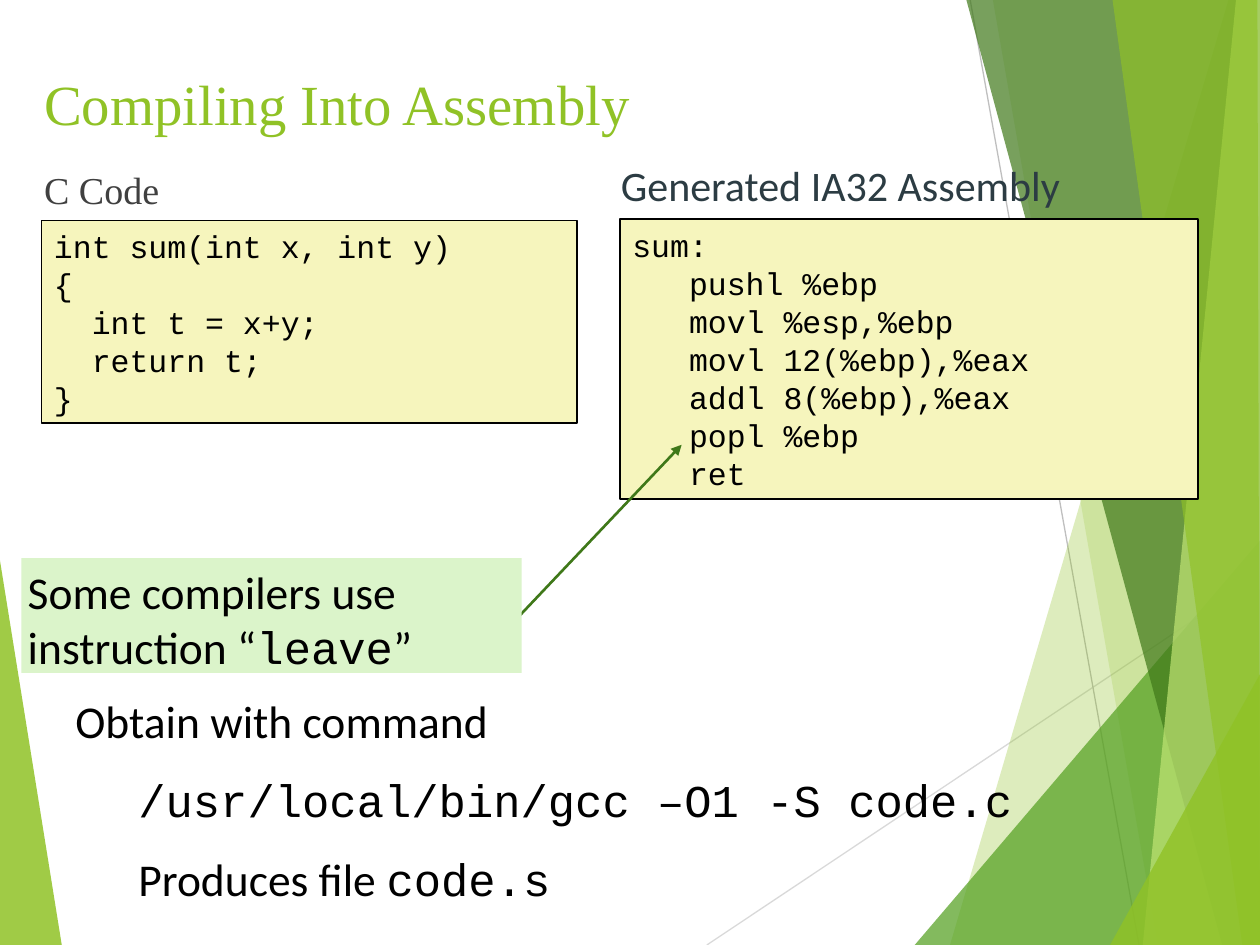
from pptx import Presentation
from pptx.dml.color import RGBColor
from pptx.enum.shapes import MSO_CONNECTOR, MSO_SHAPE
from pptx.enum.text import MSO_ANCHOR, MSO_AUTO_SIZE, PP_ALIGN
from pptx.oxml.ns import qn
from pptx.util import Inches, Pt
from lxml.etree import SubElement

LIME = RGBColor(0x90, 0xC2, 0x26)
GREEN = RGBColor(0x54, 0xA0, 0x21)
FOREST = RGBColor(0x3F, 0x78, 0x19)
PALE_LIME = RGBColor(0xC0, 0xE4, 0x74)
CREAM = RGBColor(0xF6, 0xF5, 0xBD)
MINT = RGBColor(0xDB, 0xF4, 0xCA)
BLACK = RGBColor(0, 0, 0)
CHARCOAL = RGBColor(0x40, 0x40, 0x40)
SLATE = RGBColor(0x2C, 0x3C, 0x43)
GRAY = RGBColor(0xBF, 0xBF, 0xBF)
LIGHT_GRAY = RGBColor(0xD9, 0xD9, 0xD9)
SERIF, SANS, MONO = "Times New Roman", "Calibri", "Courier New"

C_CODE = ["int sum(int x, int y)", "{", "  int t = x+y;", "  return t;", "}"]
ASSEMBLY = [
    "sum:",
    "   pushl %ebp",
    "   movl %esp,%ebp",
    "   movl 12(%ebp),%eax",
    "   addl 8(%ebp),%eax",
    "   popl %ebp",
    "   ret",
]
FACETS = [
    ([(0, 4.45), (0.49, 7.5), (0, 7.5)], LIME, 85),
    ([(9.75, 0), (7.54, 7.5), (10, 7.5), (10, 0)], LIME, 30),
    ([(7.88, 0), (9.19, 7.5), (10, 7.5), (10, 0)], LIME, 20),
    ([(7.26, 7.5), (10, 4.29), (10, 7.5)], GREEN, 72),
    ([(7.67, 0), (9.7, 7.5), (10, 7.5), (10, 0)], FOREST, 70),
    ([(9.81, 0), (9.07, 7.5), (10, 7.5), (10, 0)], PALE_LIME, 70),
    ([(8.83, 0), (9.86, 7.5), (10, 7.5), (9.98, 0)], LIME, 65),
    ([(8.81, 7.5), (10, 5.35), (10, 7.5)], LIME, 80),
]


class SlideBuilder:
    def __init__(self, slide):
        self.slide = slide
        self.shapes = slide.shapes

    def prepare(self, box, inset=0.1):
        frame = box.text_frame
        frame.word_wrap = True
        frame.auto_size = MSO_AUTO_SIZE.NONE
        frame.vertical_anchor = MSO_ANCHOR.TOP
        frame.margin_left = frame.margin_right = Inches(inset)
        frame.margin_top = frame.margin_bottom = Inches(0.05)
        return frame

    def style(self, run, size, color, font):
        run.font.size = Pt(size)
        run.font.color.rgb = color
        run.font.name = font

    def add_runs(self, para, parts, size, color):
        para.alignment = PP_ALIGN.LEFT
        for text, font in parts:
            run = para.add_run()
            run.text = text
            self.style(run, size, color, font)

    def placeholder(self, box, bounds, text, size, color):
        box.left, box.top, box.width, box.height = map(Inches, bounds)
        frame = self.prepare(box)
        para = frame.paragraphs[0]
        properties = para._p.get_or_add_pPr()
        properties.set("marL", "0")
        properties.set("indent", "0")
        SubElement(properties, qn("a:buNone"))
        para.space_before = Pt(0)
        self.add_runs(para, [(text, SERIF)], size, color)
        return frame

    def text(self, bounds, paragraphs, size, color):
        frame = self.prepare(self.shapes.add_textbox(*map(Inches, bounds)))
        for index, (indent, parts) in enumerate(paragraphs):
            para = frame.add_paragraph() if index else frame.paragraphs[0]
            para._p.get_or_add_pPr().set("marL", str(Inches(indent)))
            if index:
                para.space_before = Pt(14)
            self.add_runs(para, parts, size, color)

    def panel(self, bounds, fill, outline=None, inset=0.1):
        box = self.shapes.add_shape(MSO_SHAPE.RECTANGLE, *map(Inches, bounds))
        box.shadow.inherit = False
        box.fill.solid()
        box.fill.fore_color.rgb = fill
        if outline is None:
            box.line.fill.background()
        else:
            box.line.color.rgb = outline
            box.line.width = Pt(1)
        return self.prepare(box, inset)

    def code(self, bounds, lines):
        frame = self.panel(bounds, CREAM, BLACK)
        frame.text = "\n".join(lines)
        for para in frame.paragraphs:
            para.alignment = PP_ALIGN.LEFT
            para.line_spacing = Pt(21.75)
            self.style(para.runs[0], 18, BLACK, MONO)

    def callout(self, bounds, parts):
        frame = self.panel(bounds, MINT, inset=0.05)
        self.add_runs(frame.paragraphs[0], parts, 26, BLACK)

    def line(self, start, end, color, width, arrow=False):
        connector = self.shapes.add_connector(
            MSO_CONNECTOR.STRAIGHT, *map(Inches, start + end))
        connector.line.color.rgb = color
        connector.line.width = Pt(width)
        if arrow:
            SubElement(connector.line._get_or_add_ln(), qn("a:tailEnd"), type="triangle")
        SubElement(connector._element.spPr, qn("a:effectLst"))

    def facet(self, points, color, opacity):
        corners = [(Inches(x), Inches(y)) for x, y in points]
        builder = self.shapes.build_freeform(*corners[0])
        builder.add_line_segments(corners[1:], close=True)
        shape = builder.convert_to_shape()
        shape.shadow.inherit = False
        shape.line.fill.background()
        shape.fill.solid()
        shape.fill.fore_color.rgb = color
        color_element = shape._element.spPr.find(qn("a:solidFill"))[0]
        SubElement(color_element, qn("a:alpha"), val=str(opacity * 1000))


def main():
    deck = Presentation()
    deck.slide_width, deck.slide_height = Inches(10), Inches(7.5)
    page = SlideBuilder(deck.slides.add_slide(deck.slide_layouts[1]))

    page.line((5.61, 7.5), (10, 4.57), LIGHT_GRAY, 0.75)
    page.line((7.7, 0), (9.04, 7.5), GRAY, 0.75)
    for points, color, opacity in FACETS:
        page.facet(points, color, opacity)

    title_frame = page.placeholder(
        page.shapes.title, (0.25, 0.48, 7.49, 0.61), "Compiling Into Assembly", 32.4, LIME)
    title_frame.vertical_anchor = MSO_ANCHOR.BOTTOM
    title_frame.margin_bottom = 0
    page.placeholder(
        page.slide.placeholders[1], (0.25, 1.27, 1.77, 0.4), "C Code", 21.7, CHARCOAL)

    page.code((0.33, 1.75, 4.25, 1.61), C_CODE)
    page.text((4.83, 1.22, 4.5, 0.45), [(0, [("Generated IA32 Assembly", SANS)])], 24, SLATE)
    page.code((4.92, 1.74, 4.59, 2.22), ASSEMBLY)
    page.text((0.5, 5.45, 8.17, 1.71), [
        (0, [("Obtain with command", SANS)]),
        (0.5, [("/usr/local/bin/gcc –O1 -S code.c", MONO)]),
        (0.5, [("Produces file ", SANS), ("code.s", MONO)]),
    ], 26, BLACK)
    page.line((4.13, 4.88), (5.41, 3.53), FOREST, 1.5, arrow=True)
    page.callout((0.17, 4.43, 3.97, 0.91), [
        ("Some compilers use instruction “", SANS), ("leave", MONO), ("”", SANS)])

    deck.save("out.pptx")


if __name__ == "__main__":
    main()
